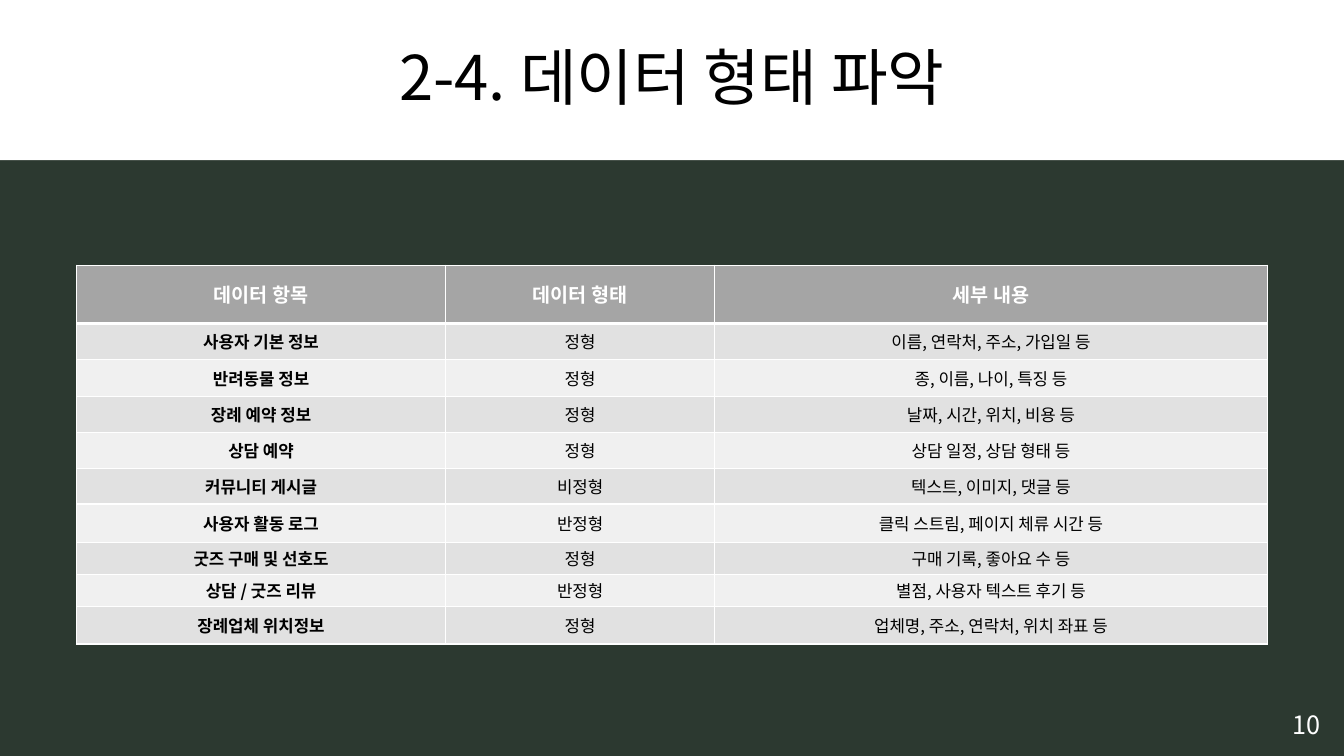
import pptx
import pptx.util
import pptx.dml.color
import pptx.enum.shapes
import pptx.enum.text
import pptx.oxml
import pptx.oxml.ns

Inches = pptx.util.Inches
Pt = pptx.util.Pt
ANCHOR = pptx.enum.text.MSO_ANCHOR
COLORS = {
    "ground": "2C3930",
    "white": "FFFFFF",
    "black": "000000",
    "header": "A5A5A5",
    "odd": "E1E1E1",
    "even": "F0F0F0",
}
COLUMN_WIDTHS = [3.66, 2.67, 5.48]
ROW_HEIGHTS = [0.58, 0.36, 0.36, 0.36, 0.36, 0.35, 0.38, 0.32, 0.32, 0.37]
ROWS = [
    ("데이터 항목", "데이터 형태", "세부 내용"),
    ("사용자 기본 정보", "정형", "이름, 연락처, 주소, 가입일 등"),
    ("반려동물 정보", "정형", "종, 이름, 나이, 특징 등"),
    ("장례 예약 정보", "정형", "날짜, 시간, 위치, 비용 등"),
    ("상담 예약", "정형", "상담 일정, 상담 형태 등"),
    ("커뮤니티 게시글", "비정형", "텍스트, 이미지, 댓글 등"),
    ("사용자 활동 로그", "반정형", "클릭 스트림, 페이지 체류 시간 등"),
    ("굿즈 구매 및 선호도", "정형", "구매 기록, 좋아요 수 등"),
    ("상담 / 굿즈 리뷰", "반정형", "별점, 사용자 텍스트 후기 등"),
    ("장례업체 위치정보", "정형", "업체명, 주소, 연락처, 위치 좌표 등"),
]


def rgb(name):
    return pptx.dml.color.RGBColor.from_string(COLORS[name])


class SlideBuilder:
    font = "Noto Sans CJK KR"

    def __init__(self, page):
        self.page = page

    def background(self, color):
        fill = self.page.background.fill
        fill.solid()
        fill.fore_color.rgb = rgb(color)

    def add_text(self, frame, text, color, **formats):
        para = frame.paragraphs[0]
        para.alignment = pptx.enum.text.PP_ALIGN.CENTER
        span = para.add_run()
        span.text = text
        for name, value in {"name": self.font, **formats}.items():
            setattr(span.font, name, value)
        span.font.color.rgb = rgb(color)
        # Korean glyphs take the East Asian typeface
        east_asian = pptx.oxml.parse_xml(
            f'<a:ea {pptx.oxml.ns.nsdecls("a")} typeface="{self.font}"/>')
        span._r.get_or_add_rPr().append(east_asian)
        return para

    def banner(self, text, left, top, width, height):
        box = self.page.shapes.add_shape(
            pptx.enum.shapes.MSO_SHAPE.RECTANGLE,
            Inches(left), Inches(top), Inches(width), Inches(height))
        box.shadow.inherit = False
        box.fill.solid()
        box.fill.fore_color.rgb = rgb("white")
        box.line.fill.background()
        box.text_frame.vertical_anchor = ANCHOR.MIDDLE
        para = self.add_text(box.text_frame, text, "black", size=Pt(44))
        para.line_spacing = 0.9

    def label(self, text, left, top, width, height):
        box = self.page.shapes.add_textbox(
            Inches(left), Inches(top), Inches(width), Inches(height))
        box.text_frame.word_wrap = True
        self.add_text(box.text_frame, text, "white", size=Pt(18))

    def borders(self, cell, top, bottom):
        properties = cell._tc.get_or_add_tcPr()
        for side, points in {"L": 1, "R": 1, "T": top, "B": bottom}.items():
            properties.append(pptx.oxml.parse_xml(
                f'<a:ln{side} {pptx.oxml.ns.nsdecls("a")} w="{Pt(points)}">'
                f'<a:solidFill><a:srgbClr val="{COLORS["white"]}"/></a:solidFill>'
                f'</a:ln{side}>'))

    def table(self, rows, left, top, widths, heights):
        table = self.page.shapes.add_table(
            len(rows), len(widths), Inches(left), Inches(top),
            Inches(sum(widths)), Inches(sum(heights))).table
        for column, width in zip(table.columns, widths):
            column.width = Inches(width)
        for row, height in zip(table.rows, heights):
            row.height = Inches(height)
        for r, texts in enumerate(rows):
            header = r == 0
            fill = "header" if header else "odd" if r % 2 else "even"
            for c, text in enumerate(texts):
                cell = table.cell(r, c)
                self.borders(cell, top=3 if r == 1 else 1, bottom=3 if header else 1)
                cell.fill.solid()
                cell.fill.fore_color.rgb = rgb(fill)
                cell.vertical_anchor = ANCHOR.MIDDLE
                cell.margin_top = cell.margin_bottom = Inches(0.03)
                self.add_text(cell.text_frame, text, "white" if header else "black",
                              size=Pt(14 if header else 12), bold=header or c == 0)


def main():
    deck = pptx.Presentation()
    deck.slide_width, deck.slide_height = Inches(13.33), Inches(7.5)
    builder = SlideBuilder(deck.slides.add_slide(deck.slide_layouts[6]))

    # Background and title band
    builder.background("ground")
    builder.banner("2-4. 데이터 형태 파악", 0, 0, 13.33, 1.59)

    # Page number
    builder.label("10", 12.59, 6.99, 0.74, 0.4)

    # Data types
    builder.table(ROWS, 0.76, 2.63, COLUMN_WIDTHS, ROW_HEIGHTS)

    deck.save("out.pptx")


if __name__ == "__main__":
    main()
